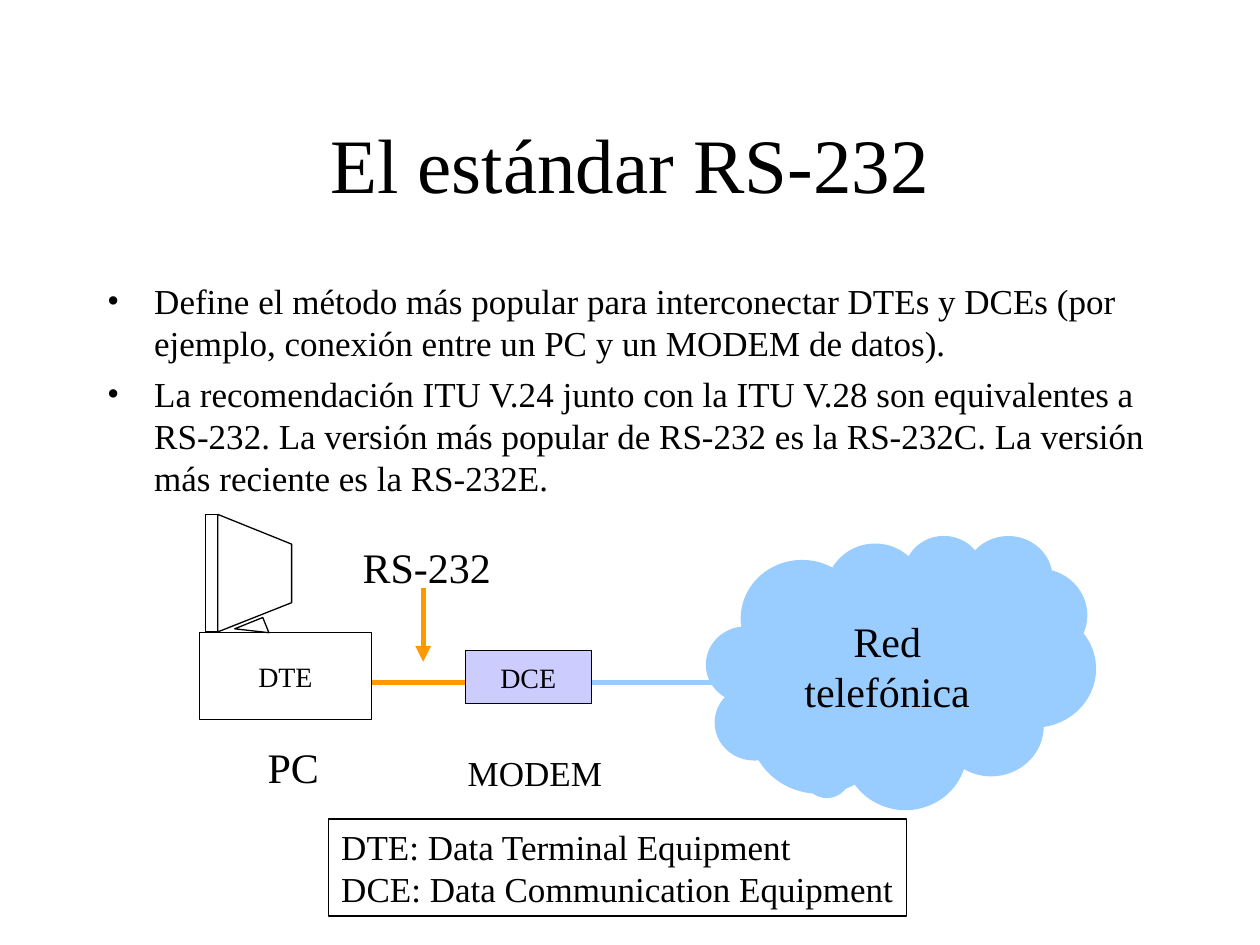
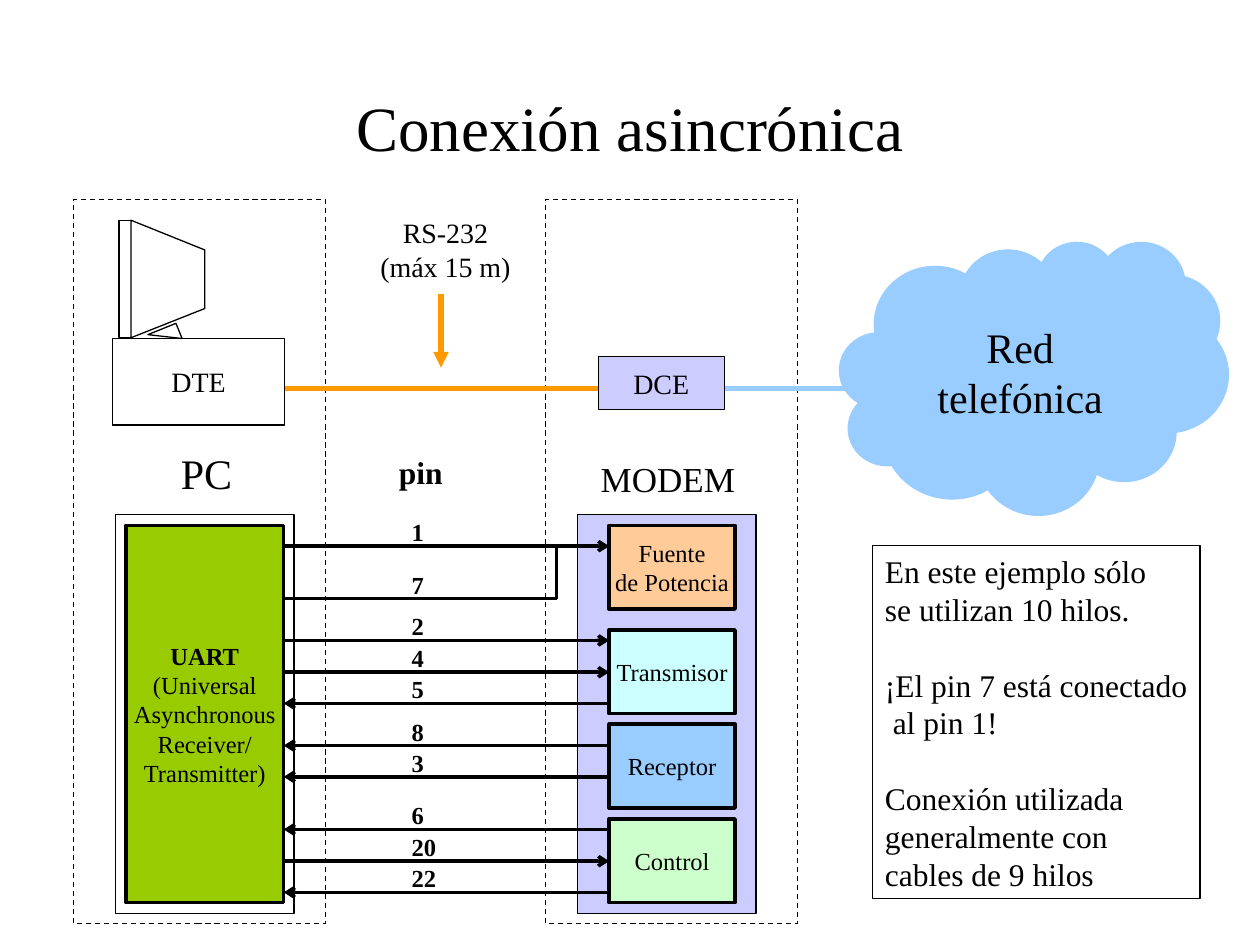
from lxml.etree import SubElement
from pptx import Presentation
from pptx.dml.color import RGBColor
from pptx.enum.dml import MSO_LINE
from pptx.enum.shapes import MSO_CONNECTOR, MSO_SHAPE
from pptx.enum.text import MSO_ANCHOR, PP_ALIGN
from pptx.oxml.ns import qn
from pptx.util import Cm, Pt

FONT = "Times New Roman"
BLACK = RGBColor(0x00, 0x00, 0x00)
WHITE = RGBColor(0xFF, 0xFF, 0xFF)
ORANGE = RGBColor(0xFF, 0x99, 0x00)
SKY = RGBColor(0x99, 0xCC, 0xFF)
LAVENDER = RGBColor(0xCC, 0xCC, 0xFF)
PEACH = RGBColor(0xFF, 0xCC, 0x99)
AQUA = RGBColor(0xCC, 0xFF, 0xFF)
MINT = RGBColor(0xCC, 0xFF, 0xCC)
LIME = RGBColor(0x99, 0xCC, 0x00)

THIN, MEDIUM, THICK = 0.75, 2, 3

MODULES = [
    (0.22, ["Fuente", "de Potencia"], PEACH),
    (2.33, ["Transmisor"], AQUA),
    (4.23, ["Receptor"], SKY),
    (6.14, ["Control"], MINT),
]
TO_MODEM, TO_PC = "to modem", "to pc"
PINS = [
    ("1", 0.64, TO_MODEM),
    ("2", 2.54, TO_MODEM),
    ("4", 3.18, TO_MODEM),
    ("5", 3.81, TO_PC),
    ("8", 4.66, TO_PC),
    ("3", 5.29, TO_PC),
    ("6", 6.35, TO_PC),
    ("20", 6.99, TO_MODEM),
    ("22", 7.62, TO_PC),
]


def write(shape, lines, size, align=PP_ALIGN.LEFT, anchor=MSO_ANCHOR.TOP, bold_lines=0, wrap=False):
    frame = shape.text_frame
    frame.word_wrap = wrap
    frame.vertical_anchor = anchor
    for index, line in enumerate(lines):
        paragraph = frame.paragraphs[0] if index == 0 else frame.add_paragraph()
        paragraph.alignment = align
        run = paragraph.add_run()
        run.text = line
        run.font.name = FONT
        run.font.size = Pt(size)
        run.font.bold = index < bold_lines
        run.font.color.rgb = BLACK
    return frame


def label(slide, left, top, width, height, lines, size, **style):
    textbox = slide.shapes.add_textbox(Cm(left), Cm(top), Cm(width), Cm(height))
    write(textbox, lines, size, wrap=True, **style)


def paint(shape, fill, line=BLACK, weight=THIN):
    shape.shadow.inherit = False
    if fill is None:
        shape.fill.background()
    else:
        shape.fill.solid()
        shape.fill.fore_color.rgb = fill
    shape.line.color.rgb = line
    shape.line.width = Pt(weight)


def block(slide, left, top, width, height, fill=None, weight=THIN, kind=MSO_SHAPE.RECTANGLE, line=BLACK):
    shape = slide.shapes.add_shape(kind, Cm(left), Cm(top), Cm(width), Cm(height))
    paint(shape, fill, line, weight)
    return shape


def write_centred(shape, lines, size, bold_lines=0):
    write(shape, lines, size, PP_ALIGN.CENTER, MSO_ANCHOR.MIDDLE, bold_lines)


def wire(slide, x1, y1, x2, y2, color=BLACK, weight=MEDIUM, head=None):
    connector = slide.shapes.add_connector(MSO_CONNECTOR.STRAIGHT, Cm(x1), Cm(y1), Cm(x2), Cm(y2))
    connector.line.color.rgb = color
    connector.line.width = Pt(weight)
    properties = connector._element.spPr
    if head:
        SubElement(properties.find(qn("a:ln")), qn("a:tailEnd"), type=head)
    SubElement(properties, qn("a:effectLst"))


def title(slide, top, text, size):
    label(slide, 1.9, top, 21.6, 3.18, [text], size, align=PP_ALIGN.CENTER, anchor=MSO_ANCHOR.MIDDLE)


def bullets(slide, left, top, width, height, items):
    body = slide.shapes.add_textbox(Cm(left), Cm(top), Cm(width), Cm(height))
    for paragraph in write(body, items, 20, wrap=True).paragraphs:
        paragraph.space_before = Pt(5)
        properties = paragraph._p.get_or_add_pPr()
        properties.set("marL", str(Cm(0.95)))
        properties.set("indent", str(-Cm(0.95)))
        SubElement(properties, qn("a:buFont"), typeface=FONT)
        SubElement(properties, qn("a:buChar"), char="•")


def computer(slide, left, top):
    block(slide, left + 0.13, top, 0.25, 2.37, WHITE)
    near, far = left + 0.37, left + 1.86
    outline = slide.shapes.build_freeform(Cm(near), Cm(top + 2.37))
    outline.add_line_segments(
        [(Cm(far), Cm(top + 1.78)), (Cm(far), Cm(top + 0.6)), (Cm(near), Cm(top))], close=True
    )
    paint(outline.convert_to_shape(), WHITE)
    write_centred(block(slide, left, top + 2.38, 3.47, 1.75, WHITE), ["DTE"], 16)
    stand = block(slide, left + 0.75, top + 2.18, 0.61, 0.33, WHITE, kind=MSO_SHAPE.RIGHT_TRIANGLE)
    stand.rotation = 158
    label(slide, left + 1.02, top + 4.45, 1.75, 1.27, ["PC"], 24, align=PP_ALIGN.CENTER)


def phone_network(slide, left, top, tail):
    cloud = block(slide, left, top, 7.83, 5.5, SKY, kind=MSO_SHAPE.CLOUD_CALLOUT, line=SKY)
    cloud.adjustments[0], cloud.adjustments[1] = tail
    write_centred(cloud, ["Red", "telefónica"], 24)


def connection(slide, left, top, modem_left, arrow_left, cloud_tail):
    cable = top + 3.39
    wire(slide, left + 3.46, cable, modem_left, cable, ORANGE, THICK)
    wire(slide, modem_left + 2.54, cable, modem_left + 5.51, cable, SKY, THICK)
    computer(slide, left, top)
    write_centred(block(slide, modem_left, top + 2.75, 2.54, 1.06, LAVENDER), ["DCE"], 16)
    label(slide, modem_left - 0.2, top + 4.66, 3.6, 1.12, ["MODEM"], 20)
    phone_network(slide, modem_left + 4.87, top + 0.43, cloud_tail)
    wire(slide, arrow_left, top + 1.49, arrow_left, top + 2.97, ORANGE, THICK, "triangle")


def boxed_text(slide, left, top, width, height, lines, size):
    return write(block(slide, left, top, width, height), lines, size)


def device_frames(slide, lefts, top):
    for left in lefts:
        block(slide, left, top, 5.08, 14.6).line.dash_style = MSO_LINE.DASH


def pin_label(slide, left, wire_top, number):
    label(slide, left, wire_top - 0.71, 1.3, 0.86, [number], 14, bold_lines=1)


def pin_wiring(slide, left, top):
    modem = left + 9.31
    block(slide, left, top, 3.6, 8.05, WHITE)
    block(slide, modem, top, 3.6, 8.05, LAVENDER)
    for offset, name, color in MODULES:
        write_centred(block(slide, modem + 0.64, top + offset, 2.54, 1.69, color, MEDIUM), name, 14)
    uart = block(slide, left + 0.21, top + 0.22, 3.18, 7.61, LIME, MEDIUM)
    uart_lines = ["UART", "(Universal", "Asynchronous", "Receiver/", "Transmitter)"]
    write_centred(uart, uart_lines, 14, bold_lines=1)

    pc_end, modem_end, numbers = left + 3.39, modem + 0.64, left + 5.72
    for number, offset, direction in PINS:
        ends = (pc_end, modem_end) if direction == TO_MODEM else (modem_end, pc_end)
        wire(slide, ends[0], top + offset, ends[1], top + offset, head="arrow")
        pin_label(slide, numbers, top + offset, number)

    junction, ground = left + 8.89, top + 1.7
    wire(slide, pc_end, ground, junction, ground)
    wire(slide, junction, ground, junction, top + 0.64)
    pin_label(slide, numbers, ground, "7")
    label(slide, left + 5.46, top - 1.37, 1.8, 1.02, ["pin"], 18, bold_lines=1)


def standard_slide(slide):
    title(slide, 1.7, "El estándar RS-232", 44)
    bullets(slide, 1.91, 5.51, 21.6, 11.43, [
        "Define el método más popular para interconectar DTEs y DCEs "
        "(por ejemplo, conexión entre un PC y un MODEM de datos).",
        "La recomendación ITU V.24 junto con la ITU V.28 son equivalentes a RS-232. "
        "La versión más popular de RS-232 es la RS-232C. La versión más reciente es la RS-232E.",
    ])
    connection(slide, 4.02, 10.37, 9.38, 8.53, (-0.097, 0.191))
    label(slide, 7.06, 10.8, 3.6, 1.27, ["RS-232"], 24)
    boxed_text(slide, 6.63, 16.51, 11.64, 1.96,
               ["DTE: Data Terminal Equipment", "DCE: Data Communication Equipment"], 20)


def asynchronous_slide(slide):
    device_frames(slide, (1.48, 11), 4.02)
    title(slide, 0.95, "Conexión asincrónica", 36)
    connection(slide, 2.27, 4.44, 12.06, 8.89, (-0.211, 0.132))
    label(slide, 7.18, 4.23, 3.6, 1.63, ["RS-232", "(máx 15 m)"], 16, align=PP_ALIGN.CENTER)
    pin_wiring(slide, 2.33, 10.37)
    note = boxed_text(slide, 17.59, 11, 6.6, 7.11, [
        "En este ejemplo sólo", "se utilizan 10 hilos.",
        "¡El pin 7 está conectado", " al pin 1!",
        "Conexión utilizada", "generalmente con", "cables de 9 hilos",
    ], 18)
    for opening in (2, 4):
        note.paragraphs[opening].space_before = Pt(21.8)


def main():
    presentation = Presentation()
    presentation.slide_width, presentation.slide_height = Cm(25.4), Cm(19.05)
    for build in (standard_slide, asynchronous_slide):
        build(presentation.slides.add_slide(presentation.slide_layouts[6]))
    presentation.save("out.pptx")


if __name__ == "__main__":
    main()
